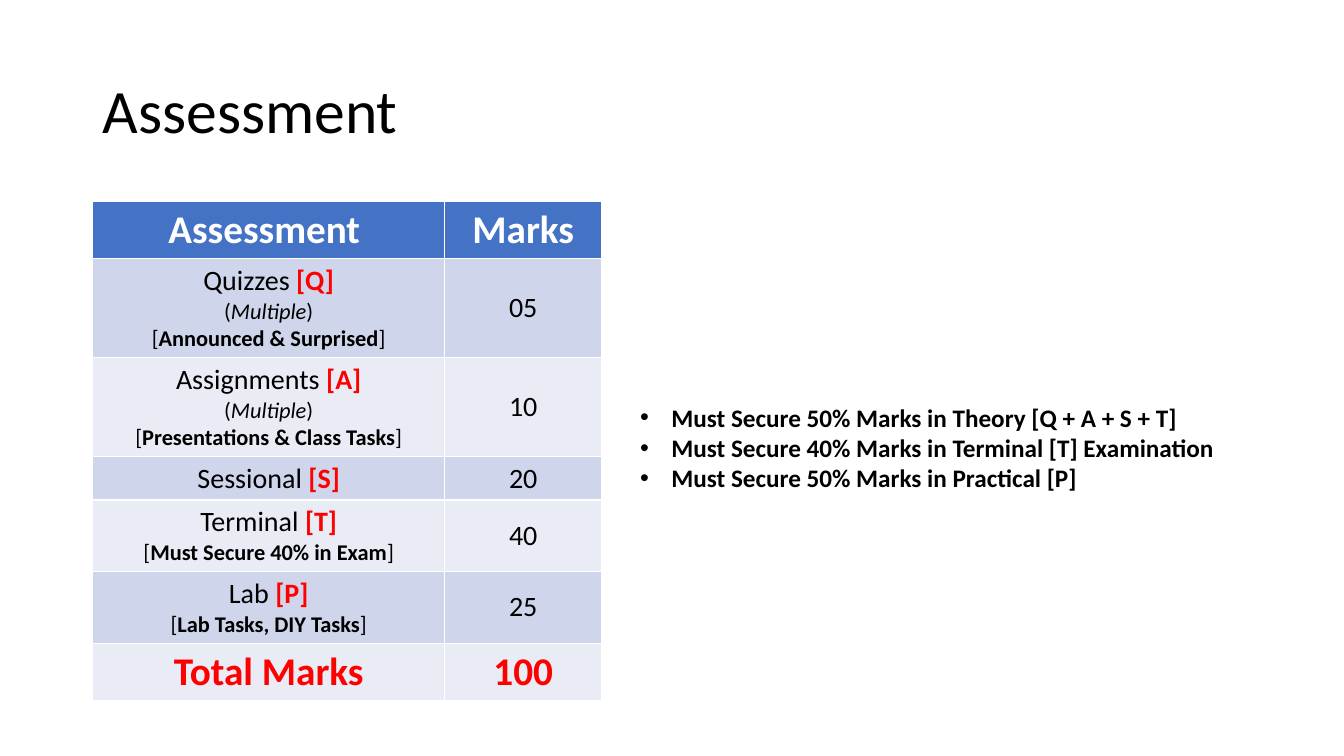
"""Build the course assessment slide: a marks table beside the passing rules."""
from dataclasses import dataclass

from lxml import etree
from pptx import Presentation
from pptx.dml.color import RGBColor
from pptx.enum import text
from pptx.oxml import ns
from pptx.util import Inches, Pt


@dataclass(frozen=True)
class Theme:
    """Font, type sizes and colours of the slide."""
    font: str = "Calibri"
    title: int = 44
    heading: int = 28
    body: int = 20
    rule: int = 18
    detail: int = 16
    black: str = "000000"
    white: str = "FFFFFF"
    red: str = "FF0000"
    header: str = "4472C4"
    bands: tuple = ("CFD5EA", "E9EBF5")


THEME = Theme()
COLUMN_WIDTHS = (3.49, 1.56)
HEADING_HEIGHT = 0.56
ASSESSMENTS = (
    ("Quizzes", "Q", "Multiple", "Announced & Surprised", "05", 0.98),
    ("Assignments", "A", "Multiple", "Presentations & Class Tasks", "10", 0.98),
    ("Sessional", "S", None, None, "20", 0.43),
    ("Terminal", "T", None, "Must Secure 40% in Exam", "40", 0.71),
    ("Lab", "P", None, "Lab Tasks, DIY Tasks", "25", 0.71),
)
RULES = (
    "Must Secure 50% Marks in Theory [Q + A + S + T]",
    "Must Secure 40% Marks in Terminal [T] Examination",
    "Must Secure 50% Marks in Practical [P]",
)


def style_font(font, size, color=THEME.black, bold=False):
    """Set the typeface, size, colour and weight of a font."""
    font.name = THEME.font
    font.size = Pt(size)
    font.bold = bold
    font.color.rgb = RGBColor.from_string(color)


def next_paragraph(frame, index):
    """Return the first paragraph of a frame, or a new one after it."""
    return frame.add_paragraph() if index else frame.paragraphs[0]


def add_text_box(slide, left, top, width, height):
    """Add a wrapping text box and return its frame."""
    box = slide.shapes.add_textbox(*map(Inches, (left, top, width, height)))
    box.text_frame.word_wrap = True
    return box.text_frame


def add_title(slide, title):
    """Add the slide title."""
    frame = add_text_box(slide, 0.92, 0.4, 11.5, 1.45)
    frame.vertical_anchor = text.MSO_ANCHOR.MIDDLE
    paragraph = frame.paragraphs[0]
    paragraph.text = title
    paragraph.line_spacing = 0.9
    style_font(paragraph.font, THEME.title)


def add_bullet(paragraph, indent):
    """Give a paragraph a round bullet with a hanging indent."""
    properties = paragraph._p.get_or_add_pPr()
    properties.set("marL", str(Inches(indent)))
    properties.set("indent", str(-Inches(indent)))
    etree.SubElement(properties, ns.qn("a:buFont")).set("typeface", "Arial")
    etree.SubElement(properties, ns.qn("a:buChar")).set("char", "•")


def add_rules(slide, rules):
    """Add the bulleted passing rules."""
    frame = add_text_box(slide, 6.25, 3.94, 6.02, 1.01)
    frame.auto_size = text.MSO_AUTO_SIZE.SHAPE_TO_FIT_TEXT
    for index, rule in enumerate(rules):
        paragraph = next_paragraph(frame, index)
        paragraph.text = rule
        add_bullet(paragraph, 0.31)
        style_font(paragraph.font, THEME.rule, bold=True)


def fill_cell(cell, fill, lines, size, color=THEME.black, bold=False):
    """Fill a cell and write centred lines, each a size and its runs."""
    cell.fill.solid()
    cell.fill.fore_color.rgb = RGBColor.from_string(fill)
    cell.margin_left = cell.margin_right = Inches(0.23)
    for index, line in enumerate(lines):
        paragraph = next_paragraph(cell.text_frame, index)
        paragraph.alignment = text.PP_ALIGN.CENTER
        style_font(paragraph.font, THEME.detail if index else size, color, bold)
        for words, changes in line:
            run = paragraph.add_run()
            run.text = words
            run.font.bold = changes.get("bold", bold)
            run.font.italic = changes.get("italic")
            run.font.color.rgb = RGBColor.from_string(changes.get("color", color))


def assessment_lines(name, code, frequency, detail):
    """Return the lines that describe one assessment."""
    lines = [[(f"{name} ", {}), (f"[{code}]", {"color": THEME.red, "bold": True})]]
    if frequency:
        lines.append([("(", {}), (frequency, {"italic": True}), (")", {})])
    if detail:
        lines.append([("[", {}), (detail, {"bold": True}), ("]", {})])
    return lines


def fill_heading_row(table, row, words, fill, color):
    """Write a row of large bold text."""
    for column, word in enumerate(words):
        fill_cell(table.cell(row, column), fill, [[(word, {})]],
                  THEME.heading, color, True)


def add_marks_table(slide, assessments):
    """Add the table of assessments, marks and their total."""
    heights = [HEADING_HEIGHT, *(item[-1] for item in assessments), HEADING_HEIGHT]
    table = slide.shapes.add_table(
        len(heights), len(COLUMN_WIDTHS), Inches(0.92), Inches(2),
        Inches(sum(COLUMN_WIDTHS)), Inches(sum(heights))).table
    for column, width in zip(table.columns, COLUMN_WIDTHS):
        column.width = Inches(width)
    for row, height in zip(table.rows, heights):
        row.height = Inches(height)
    fill_heading_row(table, 0, ("Assessment ", "Marks"), THEME.header, THEME.white)
    for row, (*description, marks, _) in enumerate(assessments, 1):
        fill = THEME.bands[(row - 1) % 2]
        fill_cell(table.cell(row, 0), fill, assessment_lines(*description), THEME.body)
        marks_cell = table.cell(row, 1)
        marks_cell.vertical_anchor = text.MSO_ANCHOR.MIDDLE
        fill_cell(marks_cell, fill, [[(marks, {})]], THEME.body)
    total = sum(int(item[-2]) for item in assessments)
    fill_heading_row(table, len(heights) - 1, ("Total Marks", str(total)),
                     THEME.bands[1], THEME.red)


def main():
    """Build and save the presentation."""
    presentation = Presentation()
    presentation.slide_width = Inches(13.33)
    presentation.slide_height = Inches(7.5)
    slide = presentation.slides.add_slide(presentation.slide_layouts[6])
    add_title(slide, "Assessment")
    add_marks_table(slide, ASSESSMENTS)
    add_rules(slide, RULES)
    presentation.save("out.pptx")


if __name__ == "__main__":
    main()
